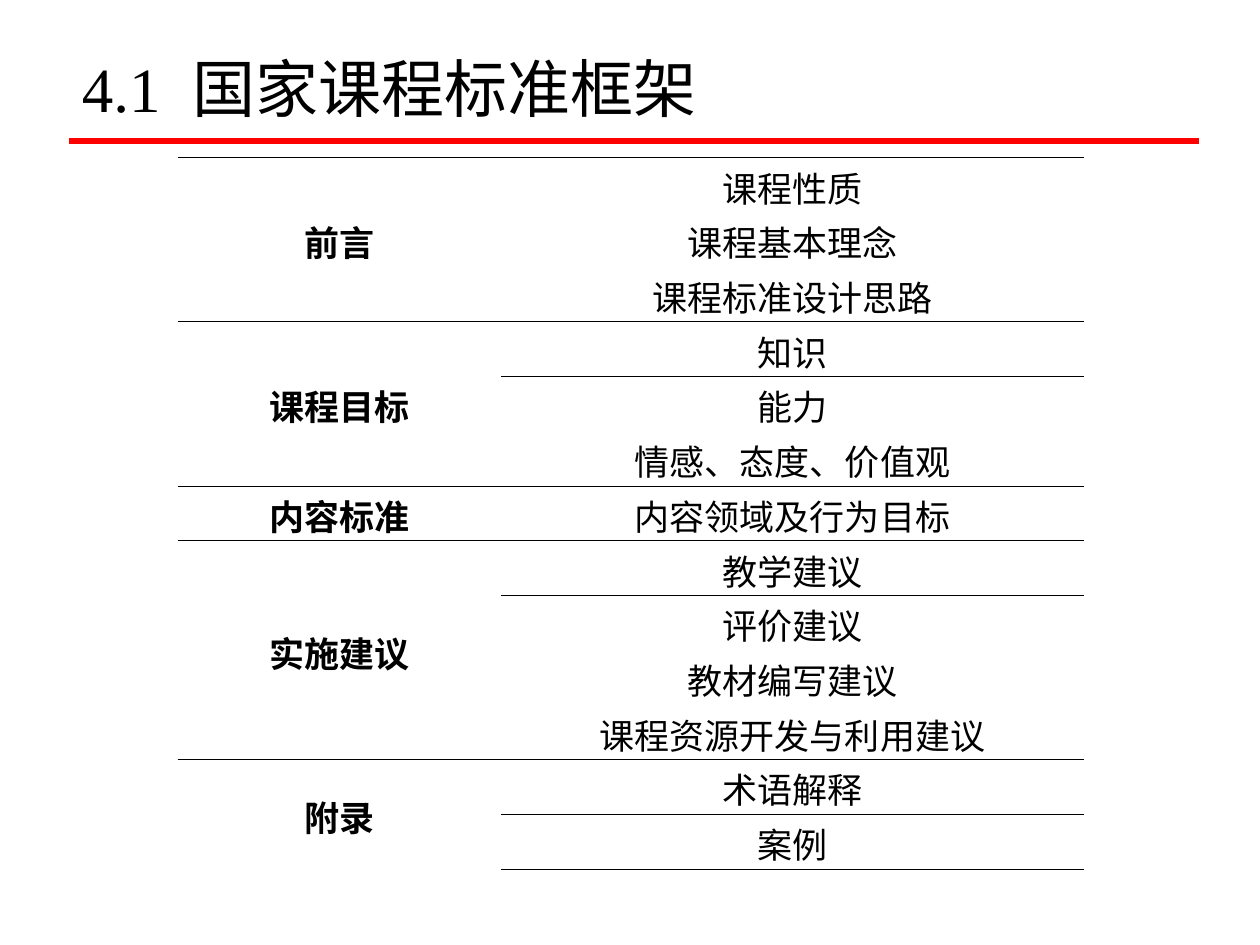
from lxml.etree import SubElement
from pptx import Presentation
from pptx.dml.color import RGBColor
from pptx.enum.shapes import MSO_CONNECTOR
from pptx.enum.text import MSO_ANCHOR, PP_ALIGN
from pptx.oxml.ns import qn
from pptx.util import Inches, Pt

TITLE = "4.1  国家课程标准框架"
SECTIONS = [
    ("前言", ["课程性质", "课程基本理念", "课程标准设计思路"]),
    ("课程目标", ["知识", "能力", "情感、态度、价值观"]),
    ("内容标准", ["内容领域及行为目标"]),
    ("实施建议", ["教学建议", "评价建议", "教材编写建议", "课程资源开发与利用建议"]),
    ("附录", ["术语解释", "案例"]),
]
COLUMNS = (2.57, 4.62)
TABLE_HEIGHT = 5.65
TITLE_FONT, TABLE_FONT = "Times New Roman", "Noto Sans CJK SC"
NO_STYLE = "{2D5ABB26-0587-4C30-8999-92F81FD0307C}"
BLACK = RGBColor(0x00, 0x00, 0x00)
RED = RGBColor(0xFF, 0x00, 0x00)


def add_border(cell, side):
    ln = SubElement(cell._tc.get_or_add_tcPr(), qn(f"a:{side}"), w=str(Pt(0.23)))
    fill = SubElement(ln, qn("a:solidFill"))
    SubElement(fill, qn("a:srgbClr"), val=str(BLACK))


def write_cell(cell, text, bold):
    cell.vertical_anchor = MSO_ANCHOR.MIDDLE
    cell.margin_left = cell.margin_right = Inches(0.01)
    cell.margin_top, cell.margin_bottom = Inches(0.03), 0
    p = cell.text_frame.paragraphs[0]
    p.alignment = PP_ALIGN.CENTER
    r = p.add_run()
    r.text = text
    r.font.size, r.font.bold = Pt(20), bold
    r.font.color.rgb = BLACK
    r.font.name = TABLE_FONT
    SubElement(r._r.get_or_add_rPr(), qn("a:ea"), typeface=TABLE_FONT)


prs = Presentation()
prs.slide_width, prs.slide_height = Inches(10), Inches(7.5)
s = prs.slides.add_slide(prs.slide_layouts[5])

title = s.shapes.title
title.left, title.top = Inches(0.55), Inches(0.34)
title.width, title.height = Inches(8.98), Inches(0.7)
tf = title.text_frame
tf.text = TITLE
tf.vertical_anchor = MSO_ANCHOR.TOP
p = tf.paragraphs[0]
p.alignment = PP_ALIGN.LEFT
p.font.name, p.font.size = TITLE_FONT, Pt(36)
p.font.color.rgb = BLACK

rule = s.shapes.add_connector(
    MSO_CONNECTOR.STRAIGHT, Inches(0.55), Inches(1.12), Inches(9.52), Inches(1.12))
rule.line.color.rgb, rule.line.width = RED, Pt(3)
SubElement(rule._element.spPr, qn("a:effectLst"))

row_count = sum(len(items) for _, items in SECTIONS)
frame = s.shapes.add_table(
    row_count, len(COLUMNS), Inches(1.41), Inches(1.25),
    Inches(sum(COLUMNS)), Inches(TABLE_HEIGHT))
table = frame.table
table.first_row = table.horz_banding = False
table._tbl.tblPr.find(qn("a:tableStyleId")).text = NO_STYLE
for column, width in zip(table.columns, COLUMNS):
    column.width = Inches(width)

top = 0
for label, items in SECTIONS:
    bottom = top + len(items) - 1
    for col in range(len(COLUMNS)):
        add_border(table.cell(top, col), "lnT")
        add_border(table.cell(bottom, col), "lnB")
    if bottom > top:
        table.cell(top, 0).merge(table.cell(bottom, 0))
    write_cell(table.cell(top, 0), label, True)
    for row, item in enumerate(items, top):
        write_cell(table.cell(row, 1), item, False)
        for col in range(len(COLUMNS)):
            table.cell(row, col).fill.background()
    top = bottom + 1

prs.save("out.pptx")
